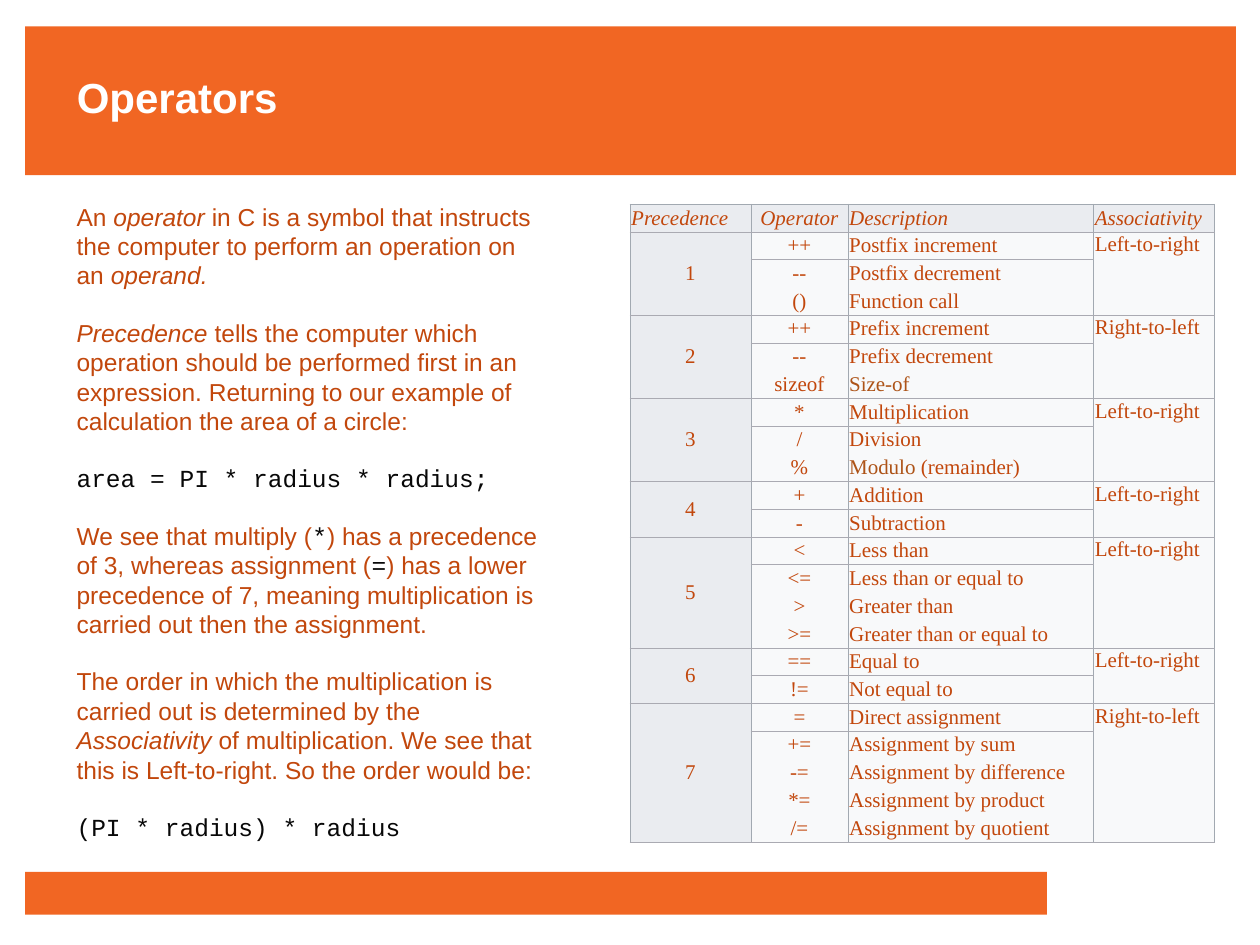
import pptx
import pptx.util
import pptx.dml.color
import pptx.enum.shapes
import pptx.enum.text
import pptx.oxml
import pptx.oxml.ns
from pptx.util import Inches, Pt

COLORS = {
    "bar": "F16623", "title": "FFFFFF", "text": "C2470C", "code": "080808",
    "link": "AD5317", "head": "EAECF0", "cell": "F8F9FA",
    "side": "A2A9B1", "rule": "AAAAB2",
}


def color(name):
    return pptx.dml.color.RGBColor.from_string(COLORS[name])


def add_border(cell, edge, name, width):
    line = pptx.oxml.parse_xml(
        f'<a:ln{edge} {pptx.oxml.ns.nsdecls("a")} w="{Pt(width)}">'
        f'<a:solidFill><a:srgbClr val="{COLORS[name]}"/></a:solidFill></a:ln{edge}>'
    )
    cell._tc.get_or_add_tcPr().append(line)


deck = pptx.Presentation()
deck.slide_width, deck.slide_height = Inches(10), Inches(7.5)
slide = deck.slides.add_slide(deck.slide_layouts[5])

for top, width, height in [(0.21, 9.61, 1.18), (6.92, 8.11, 0.34)]:
    bar = slide.shapes.add_shape(
        pptx.enum.shapes.MSO_SHAPE.RECTANGLE,
        Inches(0.2), Inches(top), Inches(width), Inches(height))
    bar.shadow.inherit = False
    bar.fill.solid()
    bar.fill.fore_color.rgb = color("bar")
    bar.line.fill.background()
    slide.shapes._spTree.insert(2, bar._element)

title = slide.shapes.title
title.left, title.top = Inches(0.51), Inches(0.52)
title.width, title.height = Inches(7.72), Inches(0.5)
title.text_frame.text = "Operators"
title.text_frame.vertical_anchor = pptx.enum.text.MSO_ANCHOR.TOP
title.text_frame.auto_size = pptx.enum.text.MSO_AUTO_SIZE.SHAPE_TO_FIT_TEXT
heading = title.text_frame.paragraphs[0]
heading.alignment = pptx.enum.text.PP_ALIGN.LEFT
heading.font.name, heading.font.size, heading.font.bold = "Arial", Pt(24), True
heading.font.color.rgb = color("title")

explanation = [
    [("An ", "plain"), ("operator ", "italic"),
     ("in C is a symbol that instructs the computer to perform an operation on an ", "plain"),
     ("operand.", "italic")],
    [("Precedence ", "italic"),
     ("tells the computer which operation should be performed first in an expression. "
      "Returning to our example of calculation the area of a circle:", "plain")],
    [("area = PI * radius * radius;", "code")],
    [("We see that multiply (", "plain"), ("*", "code"),
     (") has a precedence of 3, whereas assignment (", "plain"), ("=", "code"),
     (") has a lower precedence of 7, meaning multiplication is carried out "
      "then the assignment.", "plain")],
    [("The order in which the multiplication is carried out is determined by the ", "plain"),
     ("Associativity", "italic"),
     (" of multiplication. We see that this is Left-to-right. So the order would be:", "plain")],
    [("(PI * radius) * radius", "code")],
]
body = slide.shapes.add_textbox(Inches(0.51), Inches(1.55), Inches(3.94), Inches(5.28)).text_frame
body.word_wrap = True
body.auto_size = pptx.enum.text.MSO_AUTO_SIZE.SHAPE_TO_FIT_TEXT
for index, pieces in enumerate(explanation):
    paragraph = body.add_paragraph() if index else body.paragraphs[0]
    paragraph.font.size = Pt(14)
    paragraph.space_before = Pt(16 if index else 0)
    for words, style in pieces:
        run = paragraph.add_run()
        run.text = words
        run.font.size = Pt(14)
        run.font.name = "Courier New" if style == "code" else "Arial"
        run.font.color.rgb = color("code" if style == "code" else "text")
        if style == "italic":
            run.font.italic = True

headers = ["Precedence", "Operator", "Description", "Associativity"]
levels = [
    ("Left-to-right", [("++", "Postfix increment"), ("--", "Postfix decrement"),
                       ("()", "Function call")]),
    ("Right-to-left", [("++", "Prefix increment"), ("--", "Prefix decrement"),
                       ("sizeof", "Size-of")]),
    ("Left-to-right", [("*", "Multiplication"), ("/", "Division"),
                       ("%", "Modulo (remainder)")]),
    ("Left-to-right", [("+", "Addition"), ("-", "Subtraction")]),
    ("Left-to-right", [("<", "Less than"), ("<=", "Less than or equal to"),
                       (">", "Greater than"), (">=", "Greater than or equal to")]),
    ("Left-to-right", [("==", "Equal to"), ("!=", "Not equal to")]),
    ("Right-to-left", [("=", "Direct assignment"), ("+=", "Assignment by sum"),
                       ("-=", "Assignment by difference"), ("*=", "Assignment by product"),
                       ("/=", "Assignment by quotient")]),
]
rows = [(headers, True, True)]
spans = []
for level, (associativity, operators) in enumerate(levels, 1):
    spans.append((len(rows), len(rows) + len(operators) - 1))
    for index, (operator, description) in enumerate(operators):
        first, last = index == 0, index == len(operators) - 1
        rows.append(([str(level) if first else "", operator, description,
                      associativity if first else ""], first, last))

precedence = slide.shapes.add_table(
    len(rows), 4, Inches(5), Inches(1.62), Inches(4.65), Inches(4.87)).table
precedence.first_row = precedence.horz_banding = False
precedence._tbl.tblPr[0].text = "{2D5ABB26-0587-4C30-8999-92F81FD0307C}"
for column, width in zip(precedence.columns, [0.96, 0.77, 1.95, 0.96]):
    column.width = Inches(width)

for r, (texts, first, last) in enumerate(rows):
    for c, words in enumerate(texts):
        cell = precedence.cell(r, c)
        cell.margin_left = cell.margin_right = Inches(0.01)
        cell.margin_top = cell.margin_bottom = Inches(0.01)
        if r == 0 or c < 3:
            cell.vertical_anchor = pptx.enum.text.MSO_ANCHOR.MIDDLE
        add_border(cell, "L", "side", 0.43)
        add_border(cell, "R", "side", 0.43)
        if first:
            add_border(cell, "T", "rule" if r else "side", 0.25 if r else 0.43)
        if last or (first and c in (0, 3)):
            add_border(cell, "B", "rule", 0.25)
        cell.fill.solid()
        cell.fill.fore_color.rgb = color("head" if r == 0 or c == 0 else "cell")
        paragraph = cell.text_frame.paragraphs[0]
        paragraph.font.name, paragraph.font.size = "Times New Roman", Pt(12)
        paragraph.font.italic = r == 0
        paragraph.font.color.rgb = color("text")
        if c == 1 or (c == 0 and r):
            paragraph.alignment = pptx.enum.text.PP_ALIGN.CENTER
        link = next((word for word in ("Size-of", "Modulo") if words.startswith(word)), "")
        for part in filter(None, [link, words[len(link):]]):
            run = paragraph.add_run()
            run.text = part
            if part == link:
                run.font.color.rgb = color("link")

for top, bottom in spans:
    for c in (0, 3):
        precedence.cell(top, c).merge(precedence.cell(bottom, c))

deck.save("out.pptx")
